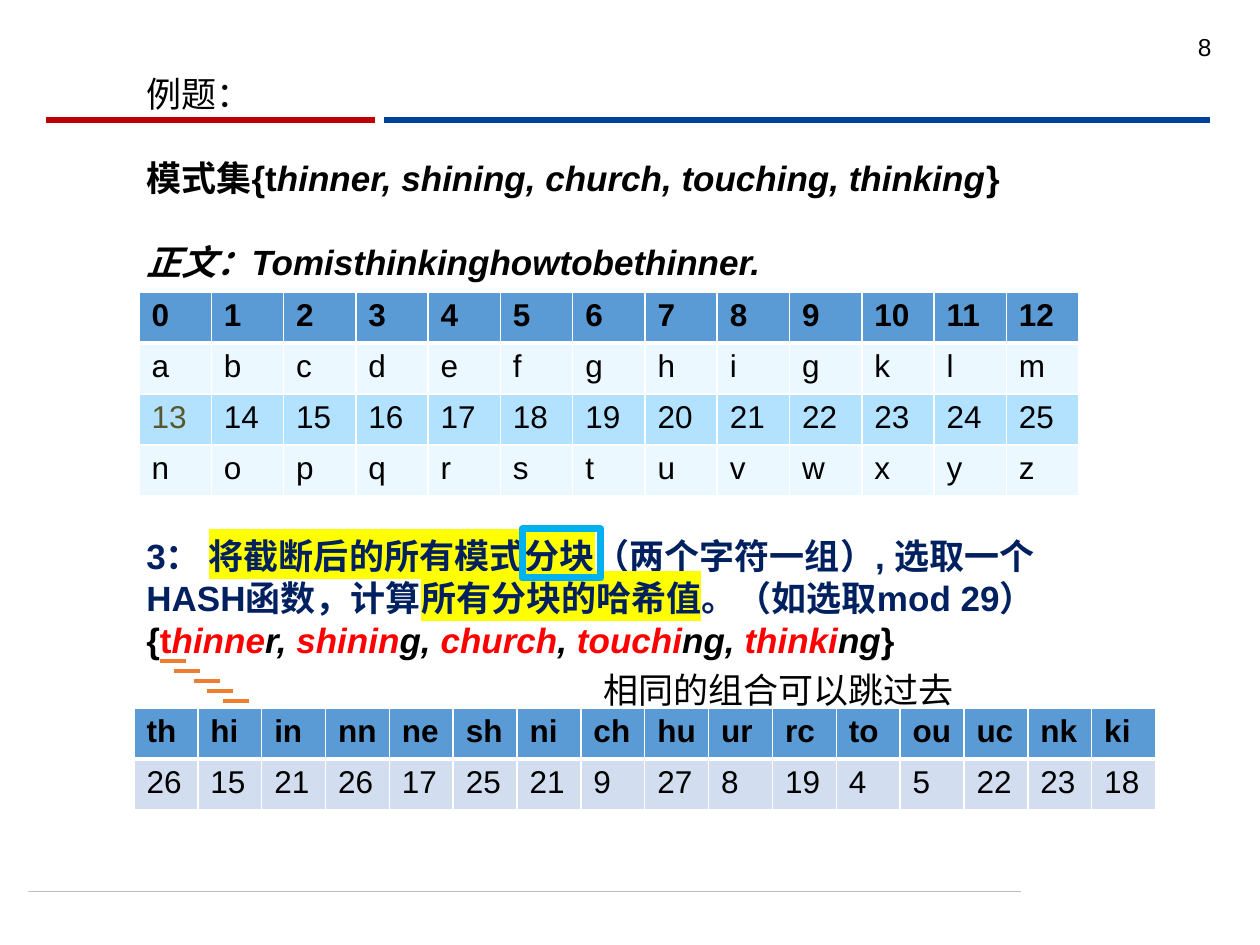
from lxml.etree import SubElement as Sub
from pptx import Presentation
from pptx.dml.color import RGBColor as RGB
from pptx.enum.shapes import MSO_CONNECTOR as Conn, MSO_SHAPE as Shape
from pptx.enum.text import PP_ALIGN as Align
from pptx.oxml.ns import qn
from pptx.util import Pt

BLACK = RGB(0, 0, 0)
WHITE = RGB(255, 255, 255)
NAVY = RGB(0, 0x20, 0x60)
RED = RGB(255, 0, 0)
YELLOW = RGB(255, 255, 0)
BRICK = RGB(0xC0, 0, 0)
BLUE = RGB(0, 0x42, 0x99)
GRAY = RGB(0xBF, 0xBF, 0xBF)
ORANGE = RGB(0xED, 0x7D, 0x31)
CYAN = RGB(0, 0xB0, 0xF0)
HEAD = RGB(0x5B, 0x9B, 0xD5)
PALE = RGB(0xEC, 0xF8, 0xFF)
SKY = RGB(0xB2, 0xE2, 0xFF)
MIST = RGB(0xD2, 0xDE, 0xEF)
OLIVE = RGB(0x59, 0x58, 0x2D)

EMU = 914400 / 126


def px(num):
    return round(num * EMU)


def paint(node, color):
    fill = Sub(node, qn("a:solidFill"))
    Sub(fill, qn("a:srgbClr"), val=str(color))


class Page:
    font = "Arial"

    def __init__(self, deck):
        self.slide = deck.slides.add_slide(deck.slide_layouts[6])
        self.shapes = self.slide.shapes

    def run(self, par, text, size, color=BLACK, mark=None, **form):
        run = par.add_run()
        run.text = text
        form = {"name": self.font, "size": Pt(size), **form}
        for key, val in form.items():
            setattr(run.font, key, val)
        run.font.color.rgb = color
        if mark:
            tag = Sub(run.font._element, qn("a:highlight"))
            Sub(tag, qn("a:srgbClr"), val=str(mark))
            run.font._element.find(qn("a:solidFill")).addnext(tag)

    def text(self, box, pars, size=20, pitch=24, align=Align.LEFT):
        """Each paragraph is (blank height above in pt, runs)."""
        frame = self.shapes.add_textbox(*map(px, box)).text_frame
        frame.word_wrap = True
        for num, (gap, runs) in enumerate(pars):
            par = frame.add_paragraph() if num else frame.paragraphs[0]
            par.alignment = align
            if pitch:
                par.line_spacing = Pt(pitch)
            if gap:
                par.space_before = Pt(gap)
            for text, form in runs:
                self.run(par, text, size, **form)

    def line(self, x, y, end, color, width):
        line = self.shapes.add_connector(
            Conn.STRAIGHT, px(x), px(y), px(end), px(y))
        line.line.color.rgb = color
        line.line.width = Pt(width)
        Sub(line._element.spPr, qn("a:effectLst"))

    def frame(self, box, color, width):
        rect = self.shapes.add_shape(Shape.RECTANGLE, *map(px, box))
        rect.shadow.inherit = False
        rect.fill.background()
        rect.line.color.rgb = color
        rect.line.width = Pt(width)

    def cell(self, cell, text, row, fill, color):
        edges = {"L": 1, "R": 1, "T": 3 if row == 1 else 1,
                 "B": 1 if row else 3}
        props = cell._tc.get_or_add_tcPr()
        for side, width in edges.items():
            paint(Sub(props, qn("a:ln" + side), w=str(Pt(width))), WHITE)
        cell.fill.solid()
        cell.fill.fore_color.rgb = fill
        self.run(cell.text_frame.paragraphs[0], text, 18, color, bold=not row)

    def table(self, box, rows, fills, tints):
        cols = len(rows[0])
        grid = self.shapes.add_table(len(rows), cols, *map(px, box)).table
        for col in grid.columns:
            col.width = px(box[2] / cols)
        for row, words in enumerate(rows):
            grid.rows[row].height = px(box[3] / len(rows))
            for col, word in enumerate(words):
                self.cell(grid.cell(row, col), word, row, fills[row],
                          tints.get((row, col), BLACK))


def main():
    deck = Presentation()
    deck.slide_width, deck.slide_height = px(1260), px(945)
    page = Page(deck)

    # Rules and page number
    page.line(28, 891, 1021, GRAY, 0.5)
    page.line(384, 120, 1210, BLUE, 3)
    page.line(46, 120, 375, BRICK, 3)
    page.text((1147, 26, 77, 66), [(0, [("8", {})])], 14, None, Align.RIGHT)

    # Problem text
    bold = {"bold": True}
    slant = {"bold": True, "italic": True}
    navy = {"bold": True, "color": NAVY}
    mark = {**navy, "mark": YELLOW}
    red = {**slant, "color": RED}
    page.text((134, 66, 945, 945), [
        (0, [("例题：", {})]),
        (24, [("模式集{t", bold),
              ("hinner, shining, church, touching, thinking", slant),
              ("}", bold)]),
        (24, [("正文：Tomisthinkinghowtobethinner.", slant)]),
        (144, [("3： ", navy), ("将截断后的所有模式分块", mark),
               ("（两个字符一组）, 选取一个HASH函数，计算", navy),
               ("所有分块的哈希值", mark), ("。（如选取mod 29）", navy)]),
        (0, [("{", bold), ("t", {**bold, "color": RED}),
             ("hinne", red), ("r,", slant), (" shinin", red), ("g, ", slant),
             ("church", red), (", ", slant), ("touchi", red), ("ng, ", slant),
             ("thinki", red), ("ng", slant), ("}", bold)]),
    ])

    # Letter codes
    codes = [str(num) for num in range(26)]
    page.table((139, 292, 940, 204),
               [codes[:13], "abcdefghigklm", codes[13:], "nopqrstuvwxyz"],
               [HEAD, PALE, SKY, PALE], {(2, 0): OLIVE})

    # Block frame and pair marks
    page.frame((522, 529, 79, 49), CYAN, 4)
    for num, x in enumerate((160, 174, 194, 207, 223)):
        page.line(x, 661 + 10 * num, x + 26, ORANGE, 2.75)

    # Block hashes
    page.table((134, 708, 1022, 102),
               ["th hi in nn ne sh ni ch hu ur rc to ou uc nk ki".split(),
                "26 15 21 26 17 25 21 9 27 8 19 4 5 22 23 18".split()],
               [HEAD, MIST], {})
    page.text((591, 662, 669, 55), [(0, [("相同的组合可以跳过去", {})])])

    deck.save("out.pptx")


if __name__ == "__main__":
    main()
